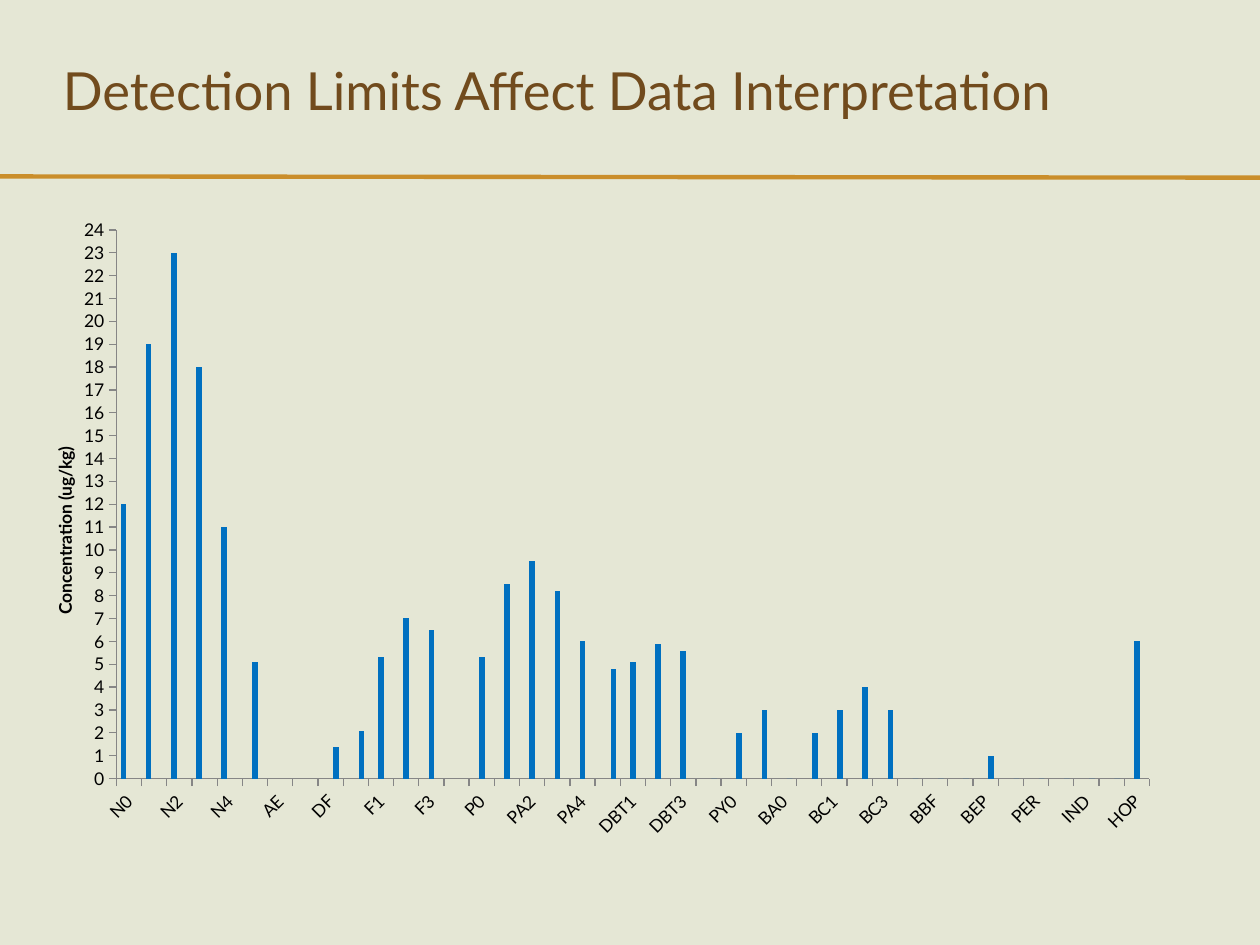
from lxml import etree
from pptx import Presentation
from pptx.chart.data import CategoryChartData
from pptx.dml.color import RGBColor
from pptx.enum.chart import XL_CHART_TYPE, XL_TICK_MARK
from pptx.enum.shapes import MSO_CONNECTOR
from pptx.enum.text import MSO_ANCHOR
from pptx.oxml import parse_xml
from pptx.oxml.ns import nsdecls, qn
from pptx.util import Inches, Pt

COLUMNS = XL_CHART_TYPE.COLUMN_CLUSTERED
OUTSIDE, NO_TICK = XL_TICK_MARK.OUTSIDE, XL_TICK_MARK.NONE
STRAIGHT, MIDDLE = MSO_CONNECTOR.STRAIGHT, MSO_ANCHOR.MIDDLE

# Content
TITLE = "Detection Limits Affect Data Interpretation"
AXIS_TITLE = "Concentration (ug/kg)"
COMPOUNDS = (
    "N0 N1 N2 N3 N4 AY AE B DF F0 F1 F2 F3 A0 P0 PA1 PA2 PA3 PA4 DBT0 DBT1 "
    "DBT2 DBT3 FL0 PY0 FP1 BA0 C0 BC1 BC2 BC3 BC4 BBF BKF BEP BAP PER DA IND "
    "GHI HOP"
).split()
# Each series holds runs of values, keyed by the compound where the run starts
SERIES = {
    "Series 1": {"N0": [12, 19, 23, 18, 11]},
    "Series 2": {"AY": [5.1], "F1": [5.3, 7, 6.5],
                 "P0": [5.3, 8.5, 9.5, 8.2, 6],
                 "DBT1": [5.1, 5.9, 5.6], "HOP": [6]},
    "Series 3": {"DF": [1.4, 2.1], "DBT0": [4.8],
                 "FL0": [0, 2, 3, 0, 2, 3, 4, 3, 0, 0, 0, 1, 0, 0, 0, 0, 0]},
}

# Format
WIDTH, HEIGHT = 10, 7.5
FONT = "Lato"
COLORS = {"bg": "E5E7D5", "title": "714B1D", "rule": "CA8E2B",
          "bar": "0070C0", "text": "000000", "axis": "868686"}
TITLE_BOX = (0.4, 0.17, 8.5, 1.08)
CHART_BOX = (0.33, 1.67, 9, 5)
RULE = (0, 1.4, WIDTH, 1.41)
PLOT = {"x": 0.066, "y": 0.031, "w": 0.911, "h": 0.871}
AXIS_TITLE_PLACE = {"x": 0.007, "y": 0.37}
VALUE_SCALE = {"minimum_scale": 0, "maximum_scale": 24, "major_unit": 1}


def rgb(name):
    return RGBColor.from_string(COLORS[name])


def set_font(font, size, color, bold=False):
    for key, value in {"name": FONT, "size": Pt(size), "bold": bold}.items():
        setattr(font, key, value)
    font.color.rgb = rgb(color)


def set_layout(parent, index, place, inner=False):
    """Place a chart part by shares of the chart's size."""
    for old in parent.findall(qn("c:layout")):
        parent.remove(old)
    parts = '<c:layoutTarget val="inner"/>' if inner else ""
    parts += "".join(f'<c:{k}Mode val="edge"/>' for k in "xy")
    parts += "".join(f'<c:{k} val="{v}"/>' for k, v in place.items())
    parent.insert(index, parse_xml(
        f'<c:layout {nsdecls("c")}><c:manualLayout>{parts}'
        "</c:manualLayout></c:layout>"))


def spread(runs):
    values = [None] * len(COMPOUNDS)
    for start, run in runs.items():
        i = COMPOUNDS.index(start)
        values[i:i + len(run)] = run
    return values


prs = Presentation()
prs.slide_width, prs.slide_height = Inches(WIDTH), Inches(HEIGHT)
s = prs.slides.add_slide(prs.slide_layouts[6])
s.background.fill.solid()
s.background.fill.fore_color.rgb = rgb("bg")

# Rule under the title
line = s.shapes.add_connector(STRAIGHT, *map(Inches, RULE))
line.line.color.rgb = rgb("rule")
line.line.width = Pt(2.5)
etree.SubElement(line._element.spPr, qn("a:effectLst"))

# Title
tf = s.shapes.add_textbox(*map(Inches, TITLE_BOX)).text_frame
tf.word_wrap = True
tf.vertical_anchor = MIDDLE
r = tf.paragraphs[0].add_run()
r.text = TITLE
set_font(r.font, 30, "title")

# Chart
data = CategoryChartData()
data.categories = COMPOUNDS
for name, runs in SERIES.items():
    data.add_series(name, spread(runs))
chart = s.shapes.add_chart(COLUMNS, *map(Inches, CHART_BOX), data).chart
chart.has_legend = chart.has_title = False
set_font(chart.font, 10, "text")
plot = chart.plots[0]
plot.gap_width, plot.overlap, plot.vary_by_categories = 150, 0, False
for series in plot.series:
    series.format.fill.solid()
    series.format.fill.fore_color.rgb = rgb("bar")
    series.invert_if_negative = False
set_layout(chart._chartSpace.chart.plotArea, 0, PLOT, inner=True)

# Axes
cat_axis, val_axis = chart.category_axis, chart.value_axis
for axis in (cat_axis, val_axis):
    axis.has_major_gridlines = False
    axis.major_tick_mark, axis.minor_tick_mark = OUTSIDE, NO_TICK
    axis.format.line.color.rgb = rgb("axis")
    axis.format.line.width = Pt(0.75)
    set_font(axis.tick_labels.font, 10, "text")
for key, value in VALUE_SCALE.items():
    setattr(val_axis, key, value)
val_axis.tick_labels.number_format = "General"
val_axis.tick_labels.number_format_is_linked = False

# Every second compound is labelled, at a slant
cat_xml = cat_axis._element
cat_xml.find(qn("c:txPr")).find(qn("a:bodyPr")).set("rot", "-2700000")
cat_xml.find(qn("c:noMultiLvlLbl")).addprevious(
    parse_xml(f'<c:tickLblSkip {nsdecls("c")} val="2"/>'))

# Value axis title
tf = val_axis.axis_title.text_frame
r = tf.paragraphs[0].add_run()
r.text = AXIS_TITLE
set_font(r.font, 10, "text", bold=True)
tf._txBody.find(qn("a:bodyPr")).set("rot", "-5400000")
set_layout(val_axis.axis_title._element, 1, AXIS_TITLE_PLACE)

prs.save("out.pptx")
